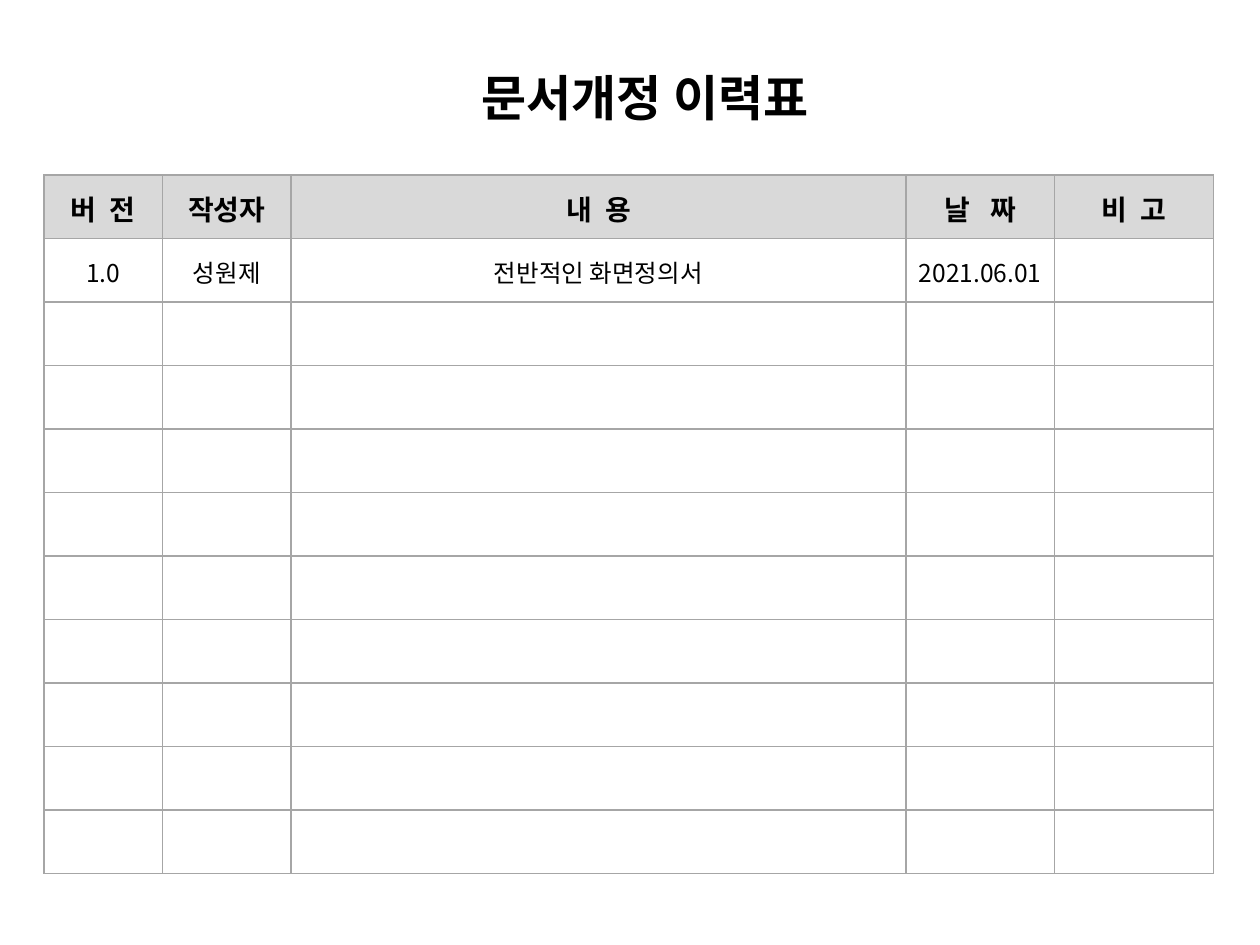
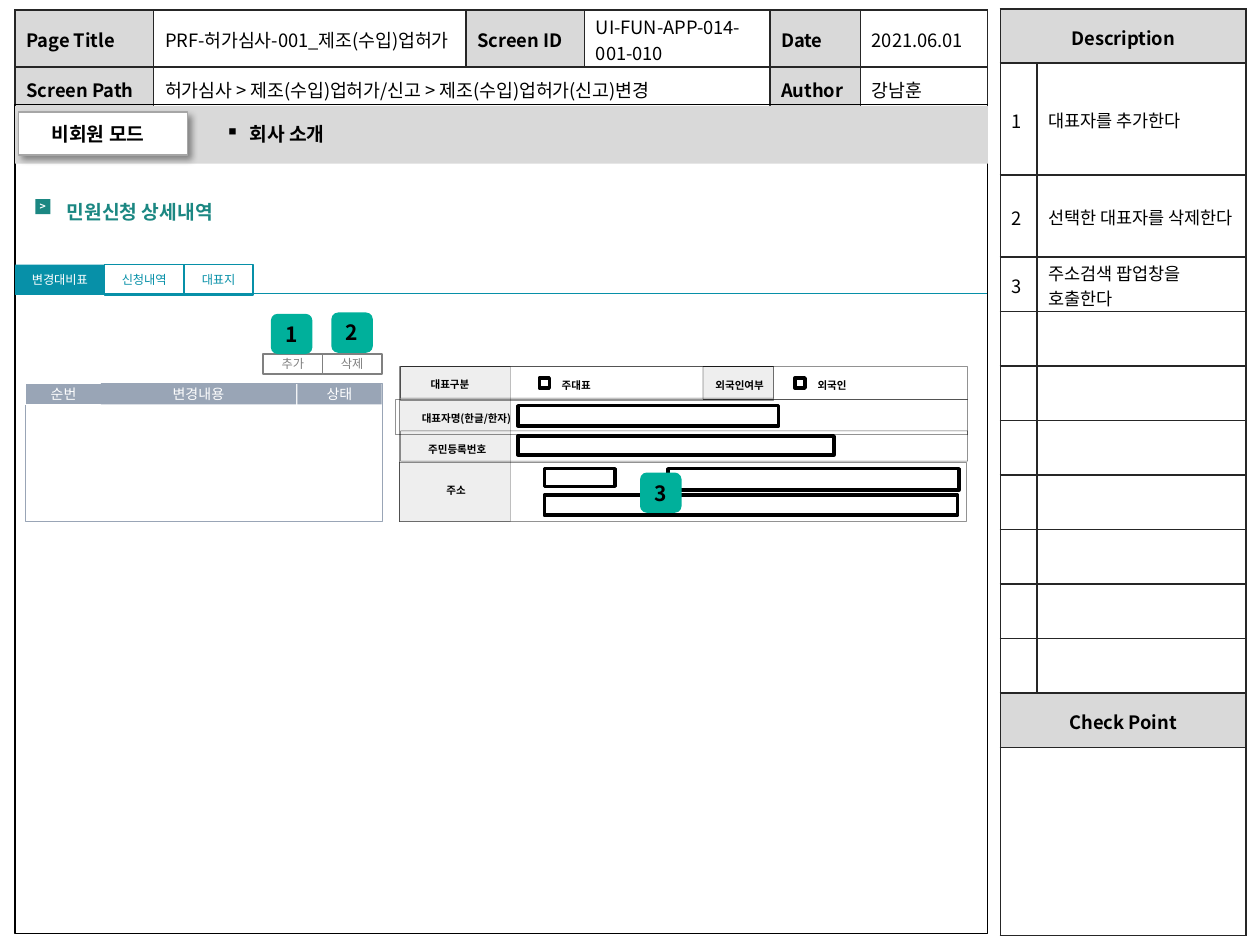
from lxml.etree import SubElement
from pptx import Presentation
from pptx.dml.color import RGBColor as RGB
from pptx.enum.shapes import MSO_CONNECTOR as CONN, MSO_SHAPE as SHAPE
from pptx.enum.text import MSO_ANCHOR as ANCHOR, PP_ALIGN as ALIGN
from pptx.oxml.ns import qn
from pptx.util import Inches, Pt

COLORS = {
    "black": "000000", "white": "FFFFFF", "band": "D9D9D9", "rule": "A6A6A6",
    "frame": "262626", "teal": "1B8782", "tab": "0790A8", "badge": "00B09B",
    "slate": "99A5B6", "gray": "808080",
}


class Deck:
    font = "Noto Sans CJK KR"
    columns, rows = 100, 75

    def __init__(self):
        self.prs = Presentation()
        self.prs.slide_width, self.prs.slide_height = Inches(10), Inches(7.5)

    def new_slide(self):
        self.slide = self.prs.slides.add_slide(self.prs.slide_layouts[6])
        self.ungroup()

    def group(self):
        self.shapes = self.slide.shapes.add_group_shape().shapes

    def ungroup(self):
        self.shapes = self.slide.shapes

    def x(self, columns):
        return round(self.prs.slide_width * columns / self.columns)

    def y(self, rows):
        return round(self.prs.slide_height * rows / self.rows)

    def place(self, box):
        left, top, width, height = box
        return self.x(left), self.y(top), self.x(width), self.y(height)

    def color(self, name):
        return RGB.from_string(COLORS[name])

    def alpha(self, parent, percent):
        clr = next(parent.iter(qn("a:srgbClr")))
        SubElement(clr, qn("a:alpha"), val=str(percent * 1000))

    def set_text(self, tf, text, size, color="black", bold=False, align=None, spacing=0):
        p = tf.paragraphs[0]
        p.text = text
        p.alignment = align
        for r in p.runs:
            r.font.size, r.font.bold, r.font.name = Pt(size), bold, self.font
            r.font.color.rgb = self.color(color)
            rPr = r._r.get_or_add_rPr()
            SubElement(rPr, qn("a:ea"), typeface=self.font)
            if spacing:
                rPr.set("spc", str(spacing))
        return p

    def text(self, box, text, size, color="black", align=None, bullet=None):
        tf = self.shapes.add_textbox(*self.place(box)).text_frame
        tf.word_wrap = True
        p = self.set_text(tf, text, size, color, True, align)
        if bullet:
            pPr = p._p.get_or_add_pPr()
            indent = self.x(1.9)
            pPr.set("marL", str(indent))
            pPr.set("indent", str(-indent))
            SubElement(pPr, qn("a:buChar"), char=bullet)

    def shape(self, box, fill=None, line=None, width=1, kind=SHAPE.RECTANGLE,
              fill_alpha=None, line_alpha=None):
        sp = self.shapes.add_shape(kind, *self.place(box))
        sp.shadow.inherit = False
        if fill:
            sp.fill.solid()
            sp.fill.fore_color.rgb = self.color(fill)
            if fill_alpha:
                self.alpha(sp._element.spPr.find(qn("a:solidFill")), fill_alpha)
        else:
            sp.fill.background()
        if line:
            sp.line.color.rgb = self.color(line)
            sp.line.width = Pt(width)
            if line_alpha:
                self.alpha(sp._element.spPr.find(qn("a:ln")), line_alpha)
        else:
            sp.line.fill.background()
        return sp

    def label(self, box, text, size, color, fill, line=None, bold=False, **style):
        sp = self.shape(box, fill, line, **style)
        tf = sp.text_frame
        tf.margin_left = tf.margin_right = tf.margin_top = tf.margin_bottom = 0
        tf.word_wrap = True
        tf.vertical_anchor = ANCHOR.MIDDLE
        self.set_text(tf, text, size, color, bold, ALIGN.CENTER)
        return sp

    def badge(self, left, top, number):
        sp = self.label((left, top, 3.3, 3.2), number, 12, "black", "badge",
                        bold=True, kind=SHAPE.ROUNDED_RECTANGLE)
        sp.adjustments[0] = 0.17

    def cast_shadow(self, sp):
        effects = sp._element.spPr.find(qn("a:effectLst"))
        shadow = SubElement(effects, qn("a:outerShdw"), blurRad=str(Pt(4)),
                            dist=str(Pt(3)), dir=str(45 * 60000), rotWithShape="0")
        SubElement(shadow, qn("a:srgbClr"), val=COLORS["black"])
        self.alpha(shadow, 40)

    def line(self, start, end, color, width):
        cx = self.shapes.add_connector(CONN.STRAIGHT, self.x(start[0]), self.y(start[1]),
                                       self.x(end[0]), self.y(end[1]))
        cx.line.color.rgb = self.color(color)
        cx.line.width = Pt(width)
        SubElement(cx._element.spPr, qn("a:effectLst"))

    def table(self, left, top, widths, heights, border, spans=()):
        box = left, top, sum(widths), sum(heights)
        tbl = self.shapes.add_table(len(heights), len(widths), *self.place(box)).table
        tbl.first_row = tbl.horz_banding = False
        for column, width in zip(tbl.columns, widths):
            column.width = self.x(width)
        for row, height in zip(tbl.rows, heights):
            row.height = self.y(height)
        for cell in tbl.iter_cells():
            cell.margin_left = cell.margin_right = self.x(0.9)
            cell.margin_top, cell.margin_bottom = self.y(0.2), 0
            cell.vertical_anchor = ANCHOR.MIDDLE
            tcPr = cell._tc.get_or_add_tcPr()
            for side in ("lnL", "lnR", "lnT", "lnB"):
                ln = SubElement(tcPr, qn(f"a:{side}"), w=str(Pt(1)))
                SubElement(SubElement(ln, qn("a:solidFill")), qn("a:srgbClr"),
                           val=COLORS[border])
            cell.fill.background()
        for row, first, last in spans:
            tbl.cell(row, first).merge(tbl.cell(row, last))
        return tbl

    def cell(self, cell, text, size, header=False, align=None, spacing=0):
        if header:
            cell.fill.solid()
            cell.fill.fore_color.rgb = self.color("band")
        self.set_text(cell.text_frame, text, size, bold=header, align=align, spacing=spacing)


def history_slide(d):
    d.new_slide()
    tbl = d.table(3.5, 13.9, [9.4, 10.2, 48.8, 11.8, 12.6], [5.04] * 11, "rule")
    headings = [("버 전", 200), ("작성자", 0), ("내 용", 200), ("날 짜", 400), ("비 고", 200)]
    for col, (heading, spacing) in enumerate(headings):
        d.cell(tbl.cell(0, col), heading, 16, True, ALIGN.CENTER, spacing)
    for col, value in enumerate(["1.0", "성원제", "전반적인 화면정의서", "2021.06.01"]):
        d.cell(tbl.cell(1, col), value, 14, align=ALIGN.CENTER)
    d.text((33.5, 4.9, 35.4, 5.7), "문서개정 이력표", 28, align=ALIGN.CENTER)


def screen_info(d):
    tbl = d.table(1.2, 0.8, [11, 24.8, 9.4, 14.7, 7.2, 10.1], [4.5, 3.4], "frame", [(1, 1, 3)])
    entries = [
        (0, 0, "Page Title", "PRF-허가심사-001_제조(수입)업허가"),
        (0, 2, "Screen ID", "UI-FUN-APP-014-001-010"),
        (0, 4, "Date", "2021.06.01"),
        (1, 0, "Screen Path", "허가심사 > 제조(수입)업허가/신고 > 제조(수입)업허가(신고)변경"),
        (1, 4, "Author", "강남훈"),
    ]
    for row, col, name, value in entries:
        d.cell(tbl.cell(row, col), name, 10.5, True)
        d.cell(tbl.cell(row, col + 1), value, 10.5)


def description_panel(d):
    heights = [4.3, 8.9, 6.5] + [4.33] * 9 + [14.9]
    tbl = d.table(79.4, 0.7, [2.9, 16.6], heights, "frame",
                  [(row, 0, 1) for row in (0, 11, 12)])
    for row, heading in ((0, "Description"), (11, "Check Point")):
        d.cell(tbl.cell(row, 0), heading, 10.5, True, ALIGN.CENTER)
    notes = ["대표자를 추가한다", "선택한 대표자를 삭제한다", "주소검색 팝업창을 호출한다"]
    for row, note in enumerate(notes, 1):
        d.cell(tbl.cell(row, 0), str(row), 10.5)
        d.cell(tbl.cell(row, 1), note, 10)


def page_header(d):
    d.shape((1.2, 8.3, 77.2, 65.8), line="black", width=0.75)
    d.shape((1.2, 8.4, 77.2, 4.6), "band")
    d.text((16.9, 9.2, 22.8, 2.9), "회사 소개", 11, bullet="▪")
    d.group()
    d.cast_shadow(d.shape((1.5, 8.9, 13.4, 3.4), "white", "rule", 0.75))
    d.text((3.1, 9.2, 10.2, 2.9), "비회원 모드", 11)
    d.ungroup()
    d.label((2.8, 15.8, 1.2, 1.2), ">", 6, "white", "teal", bold=True)
    d.text((4.3, 15.4, 17.3, 2.8), "민원신청 상세내역", 11, "teal")


def change_list(d):
    d.group()
    d.shape((2, 30.4, 28.3, 11), "white", "slate", 0.08)
    for left, width, heading, line in ((2, 6.1, "순번", "white"), (8, 15.5, "변경내용", None),
                                       (23.6, 6.7, "상태", None)):
        d.label((left, 30.4, width, 1.7), heading, 8, "white", "slate", line)
    d.ungroup()


def applicant_form(d):
    d.group()
    for box in ((31.7, 29.1, 8.8, 12.3), (55.8, 29.1, 5.6, 2.6)):
        d.shape(box, "band", "black", 0.25, fill_alpha=44, line_alpha=65)
    outlines = [(31.8, 29.1, 29.6, 2.5), (31.8, 29.1, 29.6, 2.7), (55.8, 29.1, 21, 2.6),
                (31.4, 31.7, 45.4, 2.8), (31.8, 34.2, 45, 2.4), (31.7, 36.7, 45, 4.7)]
    for box in outlines:
        d.shape(box, line="black", width=0.25, line_alpha=65)
    inputs = [(41.1, 32.2, 20.7, 1.6), (41.1, 34.6, 25.1, 1.5), (43.2, 37.2, 5.6, 1.4),
              (53, 37.2, 23.1, 1.7), (43.2, 39.3, 32.8, 1.6)]
    checkboxes = [(left, 30, 0.8, 0.8) for left in (42.8, 63.1)]
    for box in inputs + checkboxes:
        d.shape(box, line="black", width=2)
    captions = [(33.2, 29.5, 6.6, "대표구분"), (32.5, 32.2, 9.3, "대표자명(한글/한자)"),
                (33, 34.7, 8.2, "주민등록번호"), (55.8, 29.6, 6.2, "외국인여부"),
                (43.6, 29.6, 5.2, "주대표"), (63.9, 29.6, 5.2, "외국인")]
    for left, top, width, caption in captions:
        d.text((left, top, width, 2), caption, 6)
    d.text((32.1, 37.9, 8.2, 2), "주소", 6, align=ALIGN.CENTER)
    d.ungroup()


def controls(d):
    for left, name in ((20.9, "추가"), (25.6, "삭제")):
        d.label((left, 28.1, 4.7, 1.6), name, 7, "gray", "white", "gray")
    d.label((1.2, 21, 7.1, 2.4), "변경대비표", 7, "white", "tab")
    for left, width, name in ((8.3, 6.3, "신청내역"), (14.6, 5.5, "대표지")):
        d.label((left, 21, width, 2.4), name, 7, "tab", "white", "tab")
    d.line((1.2, 23.3), (78.3, 23.3), "tab", 0.75)
    for left, top, number in ((50.8, 37.5, "3"), (21.5, 24.9, "1"), (26.3, 24.8, "2")):
        d.badge(left, top, number)


def screen_slide(d):
    d.new_slide()
    screen_info(d)
    description_panel(d)
    page_header(d)
    change_list(d)
    applicant_form(d)
    controls(d)


def main():
    d = Deck()
    history_slide(d)
    screen_slide(d)
    d.prs.save("out.pptx")


if __name__ == "__main__":
    main()
